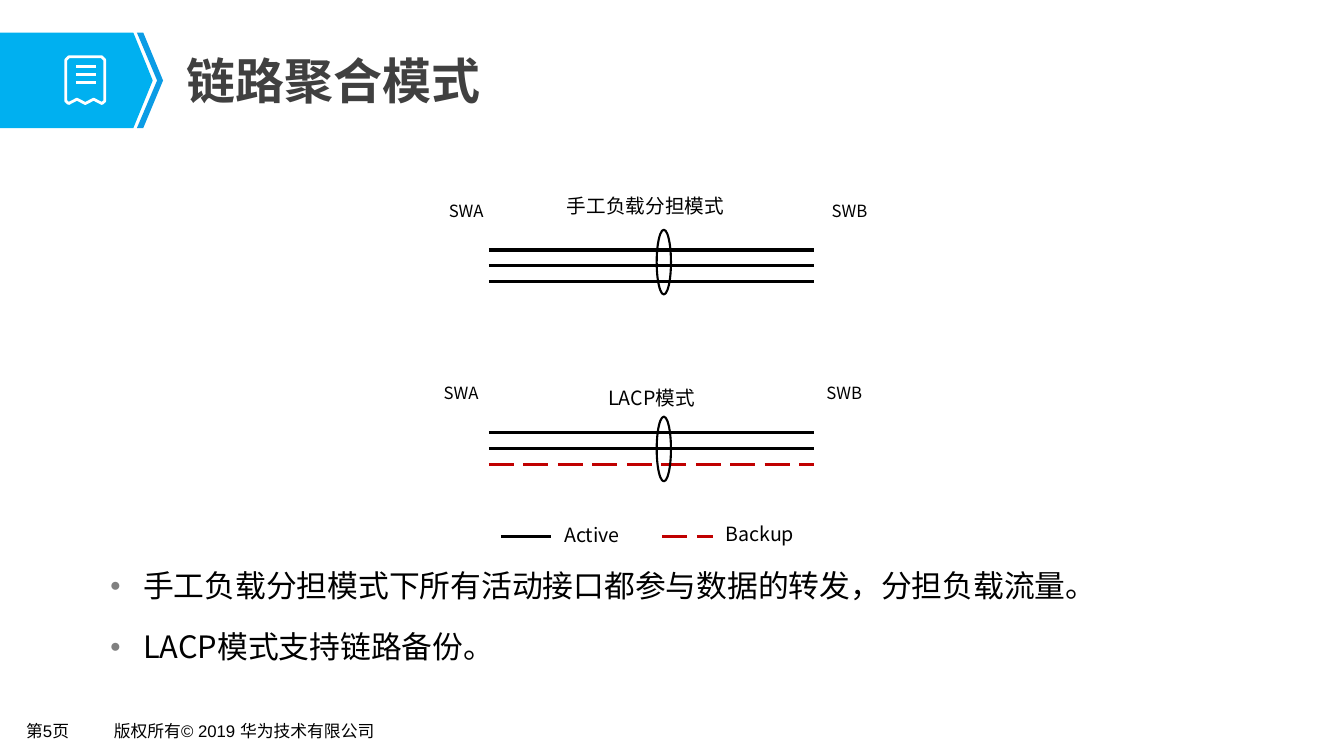
from lxml import etree
from pptx import Presentation
from pptx.dml.color import RGBColor
from pptx.enum.dml import MSO_LINE
from pptx.enum.shapes import MSO_CONNECTOR, MSO_SHAPE
from pptx.enum.text import MSO_ANCHOR, PP_ALIGN
from pptx.oxml.ns import qn
from pptx.util import Cm, Pt

BLACK = RGBColor(0x00, 0x00, 0x00)
WHITE = RGBColor(0xFF, 0xFF, 0xFF)
RED = RGBColor(0xC0, 0x00, 0x00)
GREY = RGBColor(0x40, 0x40, 0x40)
CYAN = RGBColor(0x00, 0xB0, 0xF0)
BLUE = RGBColor(0x0B, 0x9C, 0xE5)
SANS = "Noto Sans CJK SC"

deck = Presentation()
deck.slide_width, deck.slide_height = Cm(33.87), Cm(19.05)
slide = deck.slides.add_slide(deck.slide_layouts[1])
shapes = slide.shapes


def write(para, text, size=14, face=SANS, color=BLACK, bold=False,
          align=PP_ALIGN.CENTER):
    run = para.add_run()
    run.text = text
    para.alignment = align
    font = run.font
    font.size, font.name, font.bold = Pt(size), face, bold
    font.color.rgb = color
    east = etree.SubElement(font._element, qn("a:ea"))
    east.set("typeface", SANS)


def link(left, right, y, color=BLACK, width=2.25, dash=False):
    line = shapes.add_connector(MSO_CONNECTOR.STRAIGHT, Cm(left), Cm(y), Cm(right), Cm(y))
    line.line.color.rgb = color
    line.line.width = Pt(width)
    if dash:
        line.line.dash_style = MSO_LINE.LONG_DASH
    etree.SubElement(line._element.spPr, qn("a:effectLst"))


# Banner arrow, its edge stripe and the note icon
banner = [(0, 0.82), (3.36, 0.82), (3.85, 2.03), (3.36, 3.23), (0, 3.23)]
stripe = [(3.45, 0.82), (3.61, 0.82), (4.11, 2.03), (3.61, 3.23), (3.45, 3.23), (3.96, 2.03)]
note = [(1.74, 1.43), (2.56, 1.43), (2.64, 1.51), (2.64, 2.55), (2.57, 2.61),
        (2.36, 2.5), (2.15, 2.61), (1.94, 2.5), (1.73, 2.61), (1.66, 2.55), (1.66, 1.51)]
for points, fill in ((banner, CYAN), (stripe, BLUE), (note, None)):
    spots = [(Cm(x), Cm(y)) for x, y in points]
    build = shapes.build_freeform(*spots[0])
    build.add_line_segments(spots[1:], close=True)
    form = build.convert_to_shape()
    form.shadow.inherit = False
    if fill is None:
        form.fill.background()
        form.line.color.rgb = WHITE
        form.line.width = Pt(2)
    else:
        form.fill.solid()
        form.fill.fore_color.rgb = fill
        form.line.fill.background()
for row in range(3):
    link(1.91, 2.41, 1.68 + 0.2 * row, color=WHITE, width=1.75)

# Title
title = shapes.title
title.left, title.top, title.width, title.height = Cm(4.42), Cm(1.12), Cm(27.3), Cm(1.78)
frame = title.text_frame
frame.vertical_anchor = MSO_ANCHOR.MIDDLE
frame.margin_left = frame.margin_right = Cm(0.28)
write(frame.paragraphs[0], "链路聚合模式", size=35, color=GREY, bold=True, align=PP_ALIGN.LEFT)

# Bullet list
body = slide.placeholders[1]
body.left, body.top, body.width, body.height = Cm(2.54), Cm(13.8), Cm(29.34), Cm(3.4)
frame = body.text_frame
frame.vertical_anchor = MSO_ANCHOR.TOP
frame.margin_left = frame.margin_right = Cm(0.23)
frame.margin_top = frame.margin_bottom = Cm(0.1)
points = ["手工负载分担模式下所有活动接口都参与数据的转发，分担负载流量。", "LACP模式支持链路备份。"]
for index, text in enumerate(points):
    para = frame.add_paragraph() if index else frame.paragraphs[0]
    props = para._p.get_or_add_pPr()
    props.set("marL", str(Cm(0.84)))
    props.set("indent", str(-Cm(0.84)))
    tint = etree.SubElement(props, qn("a:buClr"))
    etree.SubElement(tint, qn("a:srgbClr")).set("val", "808080")
    etree.SubElement(props, qn("a:buSzPct")).set("val", "60000")
    etree.SubElement(props, qn("a:buFont")).set("typeface", "Arial")
    etree.SubElement(props, qn("a:buChar")).set("char", "●")
    para.line_spacing = 1.4
    para.space_before = Pt(6.6 if index else 0)
    write(para, text, size=22, align=PP_ALIGN.JUSTIFY)

# Link bundles, each ringed; only the second has a backup link
for top, ring, spare in ((6.3, 5.79, False), (10.9, 10.5, True)):
    for row in range(3):
        backup = spare and row == 2
        link(12.32, 20.52, top + 0.4 * row, color=RED if backup else BLACK, dash=backup)
    oval = shapes.add_shape(MSO_SHAPE.OVAL, Cm(16.55), Cm(ring), Cm(0.36), Cm(1.63))
    oval.shadow.inherit = False
    oval.fill.background()
    oval.line.color.rgb = BLACK
    oval.line.width = Pt(1.5)

# Legend lines
link(12.62, 13.89, 13.51)
link(16.69, 17.96, 13.51, color=RED, dash=True)

# Labels and footer: text, left, top, width, height, format
small = {"size": 12}
foot = {"size": 12, "face": "Arial", "align": PP_ALIGN.LEFT}
labels = [
    ("手工负载分担模式", 14.02, 4.78, 4.5, 0.86, {}),
    ("LACP模式", 15.01, 9.63, 2.82, 0.86, {}),
    ("Active", 13.93, 13.08, 1.98, 0.86, {}),
    ("Backup", 18.02, 13.06, 2.26, 0.86, {}),
    ("SWA", 11.01, 4.95, 1.48, 0.76, small),
    ("SWB", 20.67, 4.95, 1.48, 0.76, small),
    ("SWA", 10.88, 9.55, 1.48, 0.76, small),
    ("SWB", 20.54, 9.55, 1.48, 0.76, small),
    ("第5页", 0.46, 18.06, 1.88, 0.74, foot),
    ("版权所有© 2019 华为技术有限公司", 2.67, 18.06, 9, 0.74, foot),
]
for text, left, top, width, height, style in labels:
    box = shapes.add_textbox(Cm(left), Cm(top), Cm(width), Cm(height))
    frame = box.text_frame
    frame.word_wrap = True
    frame.margin_left = frame.margin_right = Cm(0.2)
    frame.margin_top = frame.margin_bottom = Cm(0.1)
    write(frame.paragraphs[0], text, **style)

deck.save("out.pptx")
